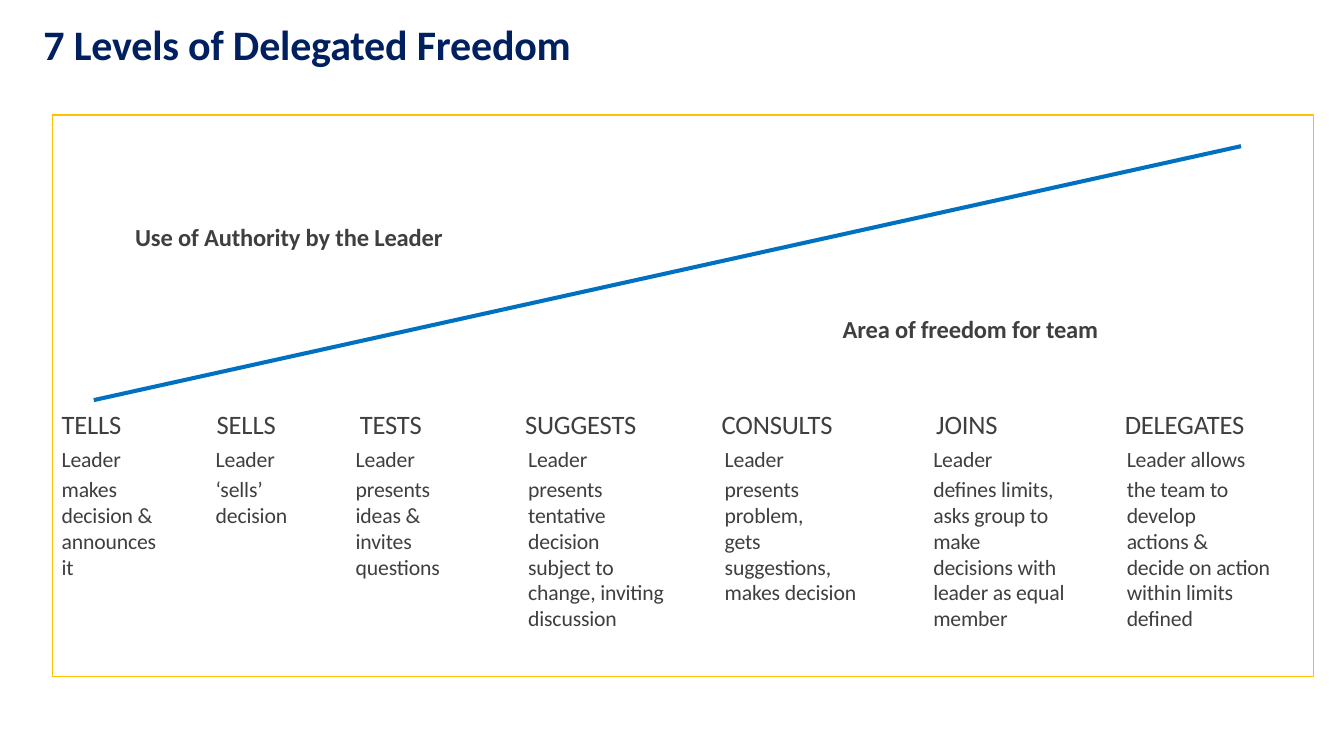
import pptx
import pptx.dml.color
import pptx.enum.shapes
import pptx.oxml.ns
import pptx.util
import lxml.etree

Pt = pptx.util.Pt
qn = pptx.oxml.ns.qn

FONT = "Calibri"
NAVY, GOLD, BLUE, GREY = "002060", "FFC000", "0070C0", "3F3F3F"
BODY_SIZE, BODY_WIDTH = 15.5, 110
NO_STYLE = "{2D5ABB26-0587-4C30-8999-92F81FD0307C}"
ROW_HEIGHTS = [48.2, 18.7, 18.7, 18.7, 85.7]

# width, heading indent, body indent, heading, one text per row
LEVELS = [
    (108.7, 5.8, 5.8, "TELLS", ["Leader", "makes", "decision &", "announces", "it"]),
    (95, 7.9, 7.2, "SELLS", ["Leader", "‘sells’", "decision", "", ""]),
    (118.1, 15.1, 12.2, "TESTS", ["Leader", "presents", "ideas &", "invites", "questions"]),
    (144.7, 15.1, 17.3, "SUGGESTS", ["Leader", "presents", "tentative", "decision",
                                     "subject to change, inviting discussion"]),
    (145.4, 10.8, 13, "CONSULTS", ["Leader", "presents", "problem,", "gets",
                                   "suggestions, makes decision"]),
    (146.9, 18.7, 16.6, "JOINS", ["Leader", "defines limits,", "asks group to", "make",
                                  "decisions with leader as equal member"]),
    (137.5, 6.5, 7.9, "DELEGATES", ["Leader allows", "the team to", "develop", "actions &",
                                    "decide on action within limits defined"]),
]


def colour(value):
    """Turn a hex string into a colour."""
    return pptx.dml.color.RGBColor.from_string(value)


def clear_margins(holder):
    """Remove the inner margins of a text frame or a cell."""
    holder.margin_left = holder.margin_right = 0
    holder.margin_top = holder.margin_bottom = 0


def add_span(para, text, size, tint, bold=False, spacing=-0.1):
    """Add one formatted run to a paragraph."""
    span = para.add_run()
    span.text = text
    span.font.name = FONT
    span.font.size = Pt(size)
    span.font.bold = bold
    span.font.color.rgb = colour(tint)
    span._r.get_or_add_rPr().set("spc", str(round(spacing * 100)))


def add_label(page, left, top, width, height, text, size, tint, spacing):
    """Add a bold single-line text box."""
    box = page.shapes.add_textbox(Pt(left), Pt(top), Pt(width), Pt(height))
    clear_margins(box.text_frame)
    box.text_frame.word_wrap = True
    para = box.text_frame.paragraphs[0]
    add_span(para, text, size, tint, True, spacing)
    return para


def add_frame(page, left, top, width, height):
    """Add the unfilled gold frame."""
    frame = page.shapes.add_shape(pptx.enum.shapes.MSO_SHAPE.RECTANGLE,
                                  Pt(left), Pt(top), Pt(width), Pt(height))
    frame.shadow.inherit = False
    frame.fill.background()
    frame.line.color.rgb = colour(GOLD)
    frame.line.width = Pt(0.97)


def add_slope(page, left, bottom, right, top):
    """Add the rising line between authority and freedom."""
    slope = page.shapes.add_connector(pptx.enum.shapes.MSO_CONNECTOR.STRAIGHT,
                                      Pt(left), Pt(bottom), Pt(right), Pt(top))
    slope.line.color.rgb = colour(BLUE)
    slope.line.width = Pt(2.9)
    lxml.etree.SubElement(slope._element.spPr, qn("a:effectLst"))


def fill_para(para, text, size, indent):
    """Write an indented table paragraph, keeping an empty one small."""
    para._p.get_or_add_pPr().set("marL", str(Pt(indent)))
    if text:
        add_span(para, text, size, GREY)
    else:
        end = lxml.etree.SubElement(para._p, qn("a:endParaRPr"))
        end.set("sz", str(round(size * 100)))


def add_levels(page, left, top):
    """Add the table of the seven levels."""
    width = sum(level[0] for level in LEVELS)
    table = page.shapes.add_table(len(ROW_HEIGHTS), len(LEVELS), Pt(left), Pt(top),
                                  Pt(width), Pt(sum(ROW_HEIGHTS))).table
    table.first_row = table.horz_banding = False
    table._tbl.tblPr.find(qn("a:tableStyleId")).text = NO_STYLE
    for row, height in zip(table.rows, ROW_HEIGHTS):
        row.height = Pt(height)
    for column, (width, heading_indent, indent, heading, texts) in enumerate(LEVELS):
        table.columns[column].width = Pt(width)
        for row, text in enumerate(texts):
            cell = table.cell(row, column)
            cell.fill.background()
            clear_margins(cell)
            cell.margin_right = Pt(max(0, width - indent - BODY_WIDTH))
            para = cell.text_frame.paragraphs[0]
            if row == 0:
                fill_para(para, heading, 19, heading_indent)
                para = cell.text_frame.add_paragraph()
                para.space_before = Pt(3.9)
            if row == len(texts) - 1 and text:
                para.line_spacing = Pt(18.4)
            fill_para(para, text, BODY_SIZE, indent)


def main():
    """Build and save the slide."""
    deck = pptx.Presentation()
    deck.slide_width, deck.slide_height = Pt(960), Pt(540)
    page = deck.slides.add_slide(deck.slide_layouts[6])
    title = add_label(page, 31, 16.6, 646, 33, "7 Levels of Delegated Freedom", 30, NAVY, -0.15)
    title.line_spacing = Pt(32.9)
    add_frame(page, 37.4, 82.1, 900.8, 401)
    add_slope(page, 67, 285.8, 886.5, 104.4)
    add_label(page, 602, 224.6, 249, 21, "Area of freedom for team", 17.5, GREY, -0.15)
    add_label(page, 96.5, 158.4, 298, 21, "Use of Authority by the Leader", 17.5, GREY, -0.1)
    add_levels(page, 38.2, 292.3)
    deck.save("out.pptx")


main()
